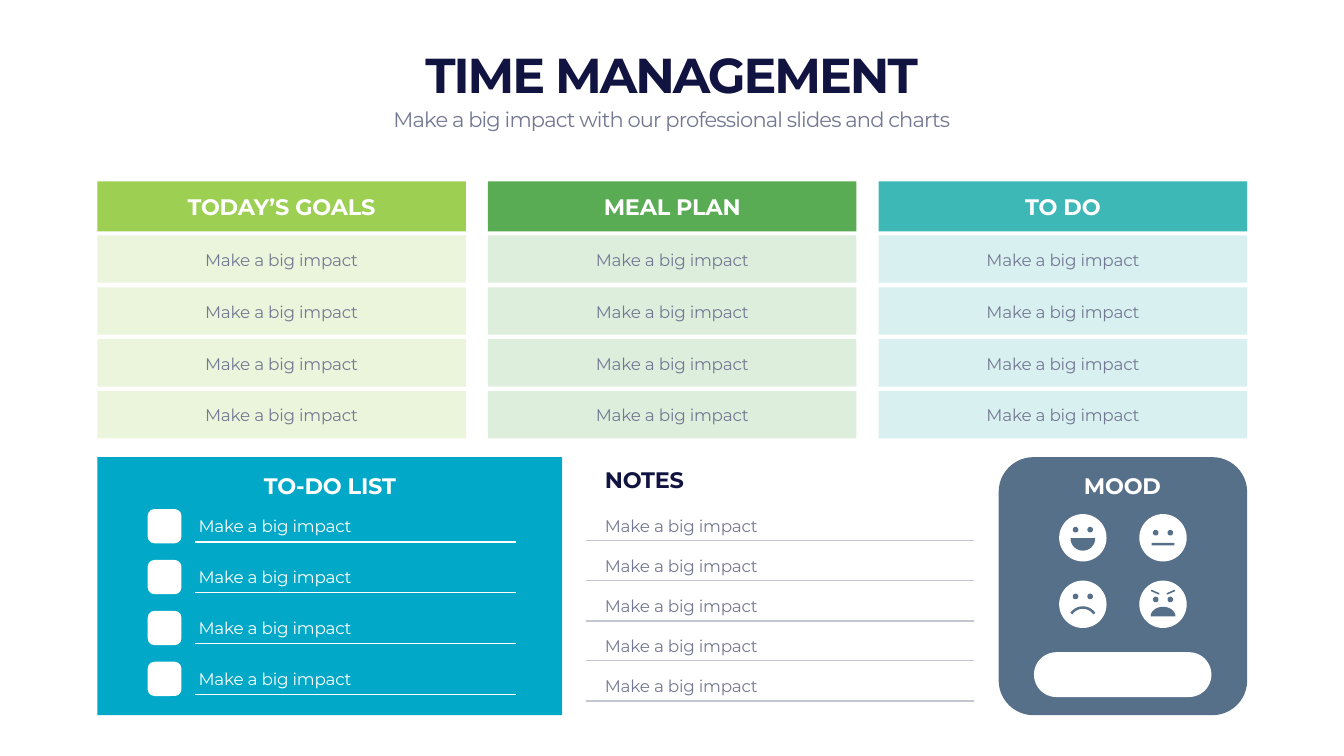
import math

import pptx
import pptx.dml.color
import pptx.enum.shapes
import pptx.enum.text
import pptx.oxml.ns
import pptx.util
from lxml import etree

RGB = pptx.dml.color.RGBColor
SHAPE = pptx.enum.shapes.MSO_SHAPE
ALIGN = pptx.enum.text.PP_ALIGN
ANCHOR = pptx.enum.text.MSO_ANCHOR
qn = pptx.oxml.ns.qn

FONT = "Montserrat"
NAVY = RGB(0x11, 0x13, 0x40)
GREY = RGB(0x74, 0x79, 0x93)
RULE = RGB(0xC4, 0xC8, 0xCE)
WHITE = RGB(0xFF, 0xFF, 0xFF)
LIME = RGB(0x9D, 0xCF, 0x53)
GREEN = RGB(0x59, 0xAC, 0x54)
TEAL = RGB(0x3D, 0xB8, 0xB6)
CYAN = RGB(0x01, 0xA8, 0xC7)
SLATE = RGB(0x56, 0x70, 0x8A)

TITLE = "TIME MANAGEMENT"
SUBTITLE = "Make a big impact with our professional slides and charts"
ITEM = "Make a big impact"
COLUMNS = [
    ("TODAY’S GOALS", LIME, [ITEM] * 4),
    ("MEAL PLAN", GREEN, [ITEM] * 4),
    ("TO DO", TEAL, [ITEM] * 4),
]
TODO = ("TO-DO LIST", [ITEM] * 4)
NOTES = ("NOTES", [ITEM] * 5)
MOOD = "MOOD"

PX = 9144
LEFT, COL_W, COL_PITCH = 193, 731, 775
HEAD_Y, HEAD_H = 360, 99
ROW_Y, ROW_H, ROW_PITCH = 467, 94, 103
PANEL_Y, PANEL_H = 907, 512
TODO_W, TODO_PITCH = 922, 101
NOTES_X, NOTES_W, TWO_NOTES = 1162, 771, 159
MOOD_X, MOOD_W = 1981, 493
FACE_R, EYE_R, EYE_DX = 47, 5.5, 14.5


def arc(cx, cy, rx, ry, start, end, steps=32):
    angles = [math.radians(start + (end - start) * i / steps) for i in range(steps + 1)]
    return [(cx + rx * math.cos(a), cy + ry * math.sin(a)) for a in angles]


def eyes(dy):
    return [arc(dx, dy, EYE_R, EYE_R, 0, 360) for dx in (-EYE_DX, EYE_DX)]


BROW = [(23, -29), (24, -26), (8, -19), (7, -22)]
GRIN = [arc(0, 1, 24.5, 24.5, 0, 180)] + eyes(-16)
NEUTRAL = [[(-22.5, 10), (22.5, 10), (22.5, 15), (-22.5, 15)]] + eyes(-10)
SAD = [arc(0, 34, 30, 30, 214, 326) + arc(0, 34, 25, 25, 326, 214)] + eyes(-15.5)
ANGRY = [arc(0, 24, 24.5, 19, 180, 360), BROW, [(-x, y) for x, y in BROW]] + eyes(-9.5)
FACES = [
    (2148, 1067, GRIN),
    (2148, 1199, SAD),
    (2307, 1199, ANGRY),
    (2307, 1067, NEUTRAL),
]


def place(sp, x, y, w, h):
    sp.left, sp.top, sp.width, sp.height = (round(v * PX) for v in (x, y, w, h))


def paint(sp, color, alpha=None):
    sp.shadow.inherit = False
    sp.fill.solid()
    sp.fill.fore_color.rgb = color
    sp.line.fill.background()
    if alpha:
        clr = sp.fill._xPr.find(qn("a:solidFill"))[0]
        etree.SubElement(clr, qn("a:alpha")).set("val", str(alpha * 1000))


def add_box(shapes, x, y, w, h, color, kind=SHAPE.RECTANGLE, adj=None, alpha=None):
    sp = shapes.add_shape(kind, *(round(v * PX) for v in (x, y, w, h)))
    if adj is not None:
        sp.adjustments[0] = adj
    paint(sp, color, alpha)
    return sp


def write(sp, text, size, color, bold=False, align=ALIGN.CENTER,
          anchor=ANCHOR.MIDDLE, spc=-30, leading=None):
    tf = sp.text_frame
    tf.word_wrap = True
    tf.auto_size = pptx.enum.text.MSO_AUTO_SIZE.NONE
    tf.vertical_anchor = anchor
    p = tf.paragraphs[0]
    p.alignment = align
    if leading:
        p.line_spacing = pptx.util.Pt(leading)
    r = p.add_run()
    r.text = text
    r.font.name = FONT
    r.font.size = pptx.util.Pt(size)
    r.font.bold = bold
    r.font.color.rgb = color
    r.font._element.set("spc", str(spc))


def write_item(sp, text, color, align=ALIGN.LEFT):
    write(sp, text, 24, color, align=align, leading=36)


def write_heading(sp, text, color=WHITE, align=ALIGN.CENTER):
    write(sp, text, 32, color, bold=True, align=align)


def add_text(shapes, x, y, w, h):
    return shapes.add_textbox(*(v * PX for v in (x, y, w, h)))


def add_rule(shapes, x, y, w, color):
    ln = shapes.add_connector(pptx.enum.shapes.MSO_CONNECTOR.STRAIGHT,
                              x * PX, y * PX, (x + w) * PX, y * PX)
    ln.line.color.rgb = color
    ln.line.width = pptx.util.Pt(2)
    etree.SubElement(ln._element.spPr, qn("a:effectLst"))


def add_face(shapes, cx, cy, contours):
    group = shapes.add_group_shape().shapes
    add_box(group, cx - FACE_R, cy - FACE_R, 2 * FACE_R, 2 * FACE_R, WHITE, SHAPE.OVAL)
    outlines = [[((cx + x) * PX, (cy + y) * PX) for x, y in c] for c in contours]
    fb = group.build_freeform(*outlines[0][0], scale=1.0)
    for i, points in enumerate(outlines):
        if i:
            fb.move_to(*points[0])
        fb.add_line_segments(points[1:], close=True)
    paint(fb.convert_to_shape(), SLATE)


def main():
    prs = pptx.Presentation()
    prs.slide_width, prs.slide_height = 2666 * PX, 1500 * PX
    slide = prs.slides.add_slide(prs.slide_layouts[5])
    shapes = slide.shapes

    place(shapes.title, 166, 82, 2333, 128)
    write(shapes.title, TITLE, 70, NAVY, bold=True, anchor=ANCHOR.BOTTOM, spc=-290)
    write(add_text(shapes, 166, 206, 2333, 61), SUBTITLE, 30, GREY,
          anchor=ANCHOR.TOP, spc=-120)

    for i, (heading, color, items) in enumerate(COLUMNS):
        x = LEFT + i * COL_PITCH
        write_heading(add_box(shapes, x, HEAD_Y, COL_W, HEAD_H, color), heading)
        for j, item in enumerate(items):
            sp = add_box(shapes, x, ROW_Y + j * ROW_PITCH, COL_W, ROW_H, color, alpha=20)
            sp.text_frame.margin_bottom = 13 * PX
            write_item(sp, item, GREY, ALIGN.CENTER)

    heading, items = TODO
    add_box(shapes, LEFT, PANEL_Y, TODO_W, PANEL_H, CYAN)
    write_heading(add_text(shapes, 296, 931, 717, 64), heading)
    for i, item in enumerate(items):
        y = 1010 + i * TODO_PITCH
        add_box(shapes, 293, y, 67, 68, WHITE, SHAPE.ROUNDED_RECTANGLE, 0.2)
        add_rule(shapes, 387, y + 65, 636, WHITE)
        write_item(add_text(shapes, 384, y, 629, 56), item, WHITE)

    heading, items = NOTES
    write_heading(add_text(shapes, 1190, 920, 714, 64), heading, NAVY, ALIGN.LEFT)
    for i, item in enumerate(items):
        y = 1010 + i * TWO_NOTES // 2
        add_rule(shapes, NOTES_X, y + 63, NOTES_W, RULE)
        write_item(add_text(shapes, 1190, y, 714, 56), item, GREY)

    add_box(shapes, MOOD_X, PANEL_Y, MOOD_W, PANEL_H, SLATE, SHAPE.ROUNDED_RECTANGLE, 0.14)
    add_box(shapes, 2051, 1294, 352, 89, WHITE, SHAPE.ROUNDED_RECTANGLE, 0.5)
    write_heading(add_text(shapes, 2024, 931, 405, 64), MOOD)
    for cx, cy, contours in FACES:
        add_face(shapes, cx, cy, contours)

    prs.save("out.pptx")


if __name__ == "__main__":
    main()
